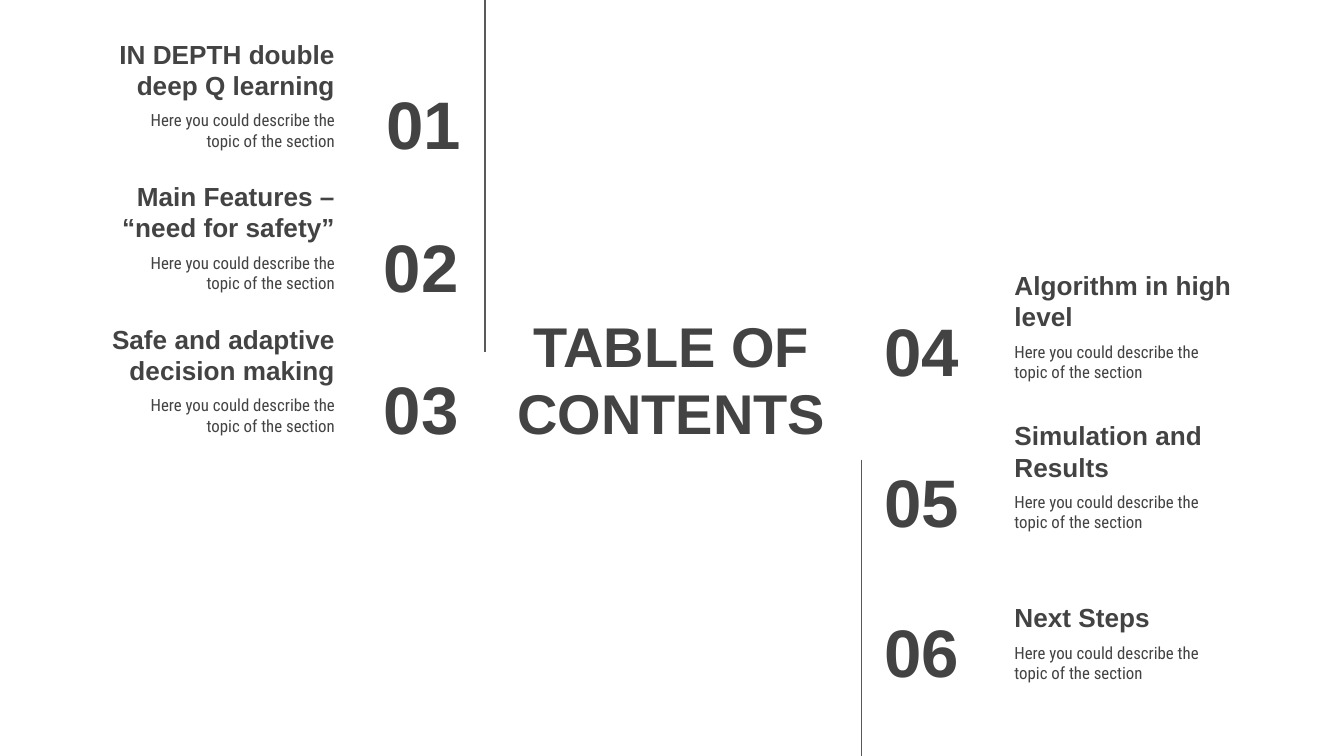
from lxml.etree import SubElement
from pptx import Presentation
from pptx.dml.color import RGBColor
from pptx.enum.shapes import MSO_CONNECTOR
from pptx.enum.text import MSO_ANCHOR, PP_ALIGN
from pptx.oxml.ns import qn
from pptx.util import Inches, Pt

COLORS = {"text": "434343", "line": "595959", "background": "FFFFFF"}
DESCRIPTION = "Here you could describe the topic of the section"


def write_text(box, text, *, left, top, width, height=0.63, size=14, font="Arial",
               bold=True, align=PP_ALIGN.LEFT, anchor=MSO_ANCHOR.MIDDLE):
    box.left, box.top = Inches(left), Inches(top)
    box.width, box.height = Inches(width), Inches(height)
    frame = box.text_frame
    frame.word_wrap = True
    frame.vertical_anchor = anchor
    frame.margin_left = frame.margin_right = Inches(0.1)
    frame.margin_top = frame.margin_bottom = Inches(0.1)
    para = frame.paragraphs[0]
    para.alignment = align
    para.line_spacing = 1.0
    para.space_before = Pt(0)
    span = para.add_run()
    span.text = text
    span.font.name = font
    span.font.size = Pt(size)
    span.font.bold = bold
    span.font.color.rgb = RGBColor.from_string(COLORS["text"])


deck = Presentation()
deck.slide_width = Inches(10)
deck.slide_height = Inches(10 * 9 / 16)
page = deck.slides.add_slide(deck.slide_layouts[5])
page.background.fill.solid()
page.background.fill.fore_color.rgb = RGBColor.from_string(COLORS["background"])

write_text(page.shapes.title, "TABLE OF CONTENTS", left=3.7, top=2.3,
           width=2.59, height=1.03, size=30, align=PP_ALIGN.CENTER)

columns = [
    {"sections": ["IN DEPTH double deep Q learning",
                  "Main Features – “need for safety”",
                  "Safe and adaptive decision making"],
     "first": 1, "top": 0.22, "step": 1.06, "align": PP_ALIGN.RIGHT,
     "heading_left": 0.43, "description_left": 0.76,
     "number_lefts": [2.32, 2.3, 2.3], "number_width": 1.21, "number_drop": 0.38},
    {"sections": ["Algorithm in high level", "Simulation and Results", "Next Steps"],
     "first": 4, "top": 1.94, "step": 1.12, "align": PP_ALIGN.LEFT,
     "heading_left": 7.45, "description_left": 7.45,
     "number_lefts": [6.48] * 3, "number_width": 1.17, "number_drop": 0.35},
]

for column in columns:
    rows = zip(column["sections"], column["number_lefts"])
    for index, (heading, number_left) in enumerate(rows):
        top = column["top"] + index * column["step"]
        heading_box, description_box, number_box = [
            page.shapes.add_textbox(0, 0, 0, 0) for _ in range(3)]
        write_text(heading_box, heading, left=column["heading_left"], top=top,
                   width=2.16, align=column["align"], anchor=MSO_ANCHOR.BOTTOM)
        write_text(description_box, DESCRIPTION, left=column["description_left"],
                   top=top + 0.5, width=1.83, size=9, font="Roboto Condensed",
                   bold=False, align=column["align"], anchor=MSO_ANCHOR.TOP)
        write_text(number_box, f"{column['first'] + index:02d}", left=number_left,
                   top=top + column["number_drop"], width=column["number_width"],
                   size=36, align=column["align"])

for x, start, end in [(3.61, 0, 2.62), (6.41, 3.42, 5.64)]:
    divider = page.shapes.add_connector(
        MSO_CONNECTOR.STRAIGHT, Inches(x), Inches(start), Inches(x), Inches(end))
    divider.line.color.rgb = RGBColor.from_string(COLORS["line"])
    divider.line.width = Pt(0.75)
    SubElement(divider.element.spPr, qn("a:effectLst"))

deck.save("out.pptx")
